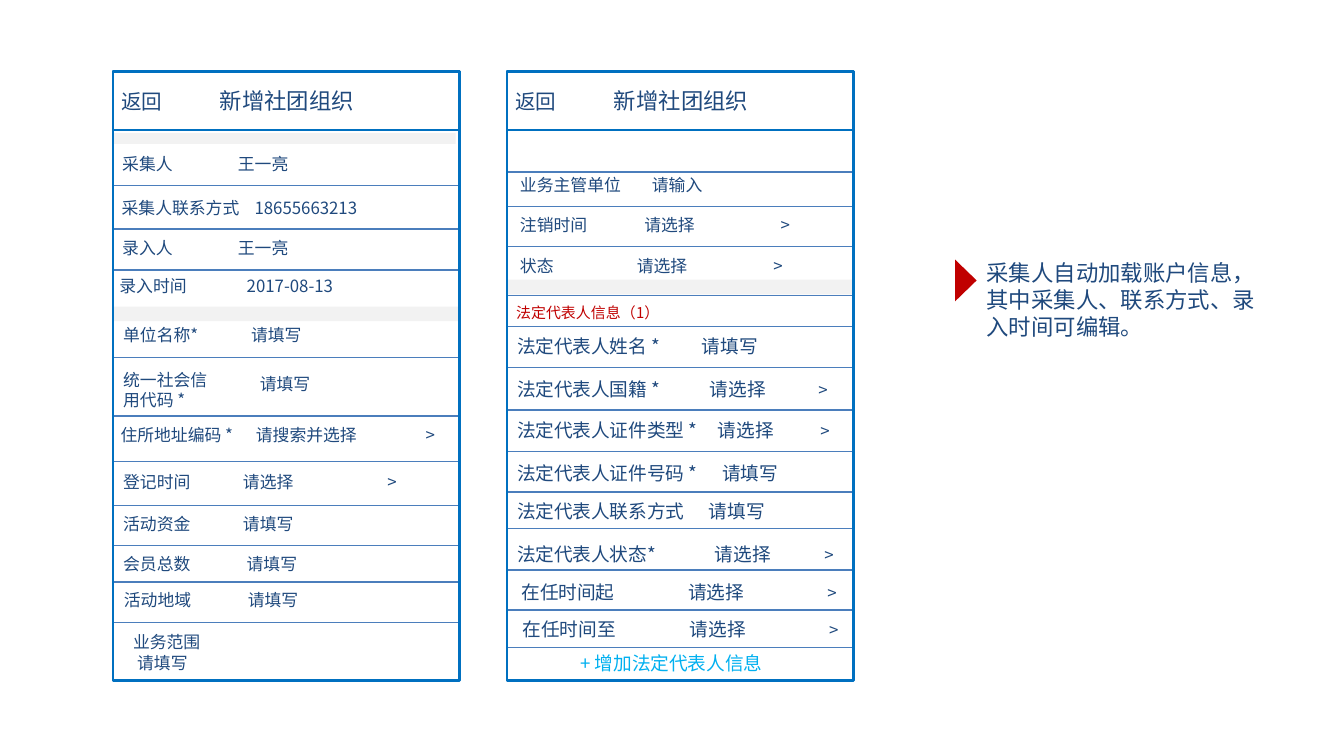
from lxml.etree import SubElement
from pptx import Presentation
from pptx.dml.color import RGBColor
from pptx.enum.shapes import MSO_CONNECTOR as CONN, MSO_SHAPE as SHAPE
from pptx.enum.text import PP_ALIGN as ALIGN
from pptx.oxml.ns import qn
from pptx.util import Pt

THEME = {
    "font": "Noto Sans CJK SC",
    "ink": "1F497D", "frame": "0070C0", "rule": "4B7EBC",
    "band": "F2F2F2", "white": "FFFFFF", "red": "C00000", "add": "00B0F0",
    "small": 8, "body": 9, "large": 10, "back": 11, "title": 12,
}
TITLE, BACK = "新增社团组织", "返回"
NOTE = "采集人自动加载账户信息，其中采集人、联系方式、录入时间可编辑。"
TOP, WIDTH, HEIGHT, HEADER = 38.2, 185.8, 326.2, 31.5
ROW_WIDTH = 174

# Each row: top, left, size, colour, then (text, left) cells after the label
FORMS = [
    {
        "left": 60.5,
        "bands": [(71.3, 182.9, 5.8), (164.2, 184.3, 7.9)],
        "rules": [99.4, 122.6, 144.7, 191.5, 222.9, 247.3, 270.7, 292.3, 311.8, 333.4],
        "rows": [
            (82.1, 65.5, "body", "ink", "采集人", ("王一亮", 127.5)),
            (105.8, 65.2, "body", "ink", "采集人联系方式", ("18655663213", 136.4)),
            (127.4, 65.5, "body", "ink", "录入人", ("王一亮", 127.5)),
            (147.6, 64, "body", "ink", "录入时间", ("2017-08-13", 132.2)),
            (174.2, 66, "body", "ink", "单位名称*", ("请填写", 134.5)),
            (198, 66, "body", "ink", "统一社会信\n用代码 *"),
            (200.2, 139.2, "body", "ink", "请填写"),
            (227.5, 64.6, "body", "ink", "住所地址编码 *", ("请搜索并选择", 137.1), (">", 228)),
            (252.7, 66, "body", "ink", "登记时间", ("请选择", 130.2), (">", 207.6)),
            (275, 66, "body", "ink", "活动资金", ("请填写", 130.2)),
            (296.6, 66, "body", "ink", "会员总数", ("请填写", 132.2)),
            (316.1, 66.4, "body", "ink", "活动地域", ("请填写", 132.8)),
            (338.4, 71.3, "body", "ink", "业务范围"),
            (349.9, 73.5, "body", "ink", "请填写"),
        ],
    },
    {
        "left": 271.6,
        "bands": [(149.8, 184.3, 7.9)],
        "rules": [92.2, 110.8, 132, 158.4, 175, 196.9, 219.6, 241.9, 263.5, 283, 305.3, 326.9, 347],
        "rows": [
            (93.6, 278.6, "body", "ink", "业务主管单位", ("请输入", 349.3)),
            (115.2, 278.6, "body", "ink", "注销时间", ("请选择", 345.2), (">", 418.2)),
            (136.8, 278.6, "body", "ink", "状态", ("请选择", 341.2), (">", 414.4)),
            (162.7, 276.5, "small", "red", "法定代表人信息（1）"),
            (179.3, 277, "large", "ink", "法定代表人姓名 *", ("请填写", 376)),
            (202.3, 277, "large", "ink", "法定代表人国籍 *", ("请选择", 380.3), (">", 438.5)),
            (224.6, 277, "large", "ink", "法定代表人证件类型 *", ("请选择", 384.6), (">", 439.5)),
            (247.7, 277, "large", "ink", "法定代表人证件号码 *", ("请填写", 387)),
            (267.8, 277, "large", "ink", "法定代表人联系方式", ("请填写", 379.8)),
            (290.9, 277, "large", "ink", "法定代表人状态*", ("请选择", 383)  , (">", 441.7)),
            (311, 279.4, "large", "ink", "在任时间起", ("请选择", 368.6), (">", 443.3)),
            (331.2, 280, "large", "ink", "在任时间至", ("请选择", 369.6), (">", 444.2)),
            (349.2, 311, "large", "add", "+ 增加法定代表人信息"),
        ],
    },
]


def color(key):
    return RGBColor.from_string(THEME[key])


def style(r, size, ink="ink"):
    r.font.name = THEME["font"]
    r.font.size = Pt(THEME[size])
    r.font.color.rgb = color(ink)
    SubElement(r._r.get_or_add_rPr(), qn("a:ea"), typeface=THEME["font"])


def add_shape(s, kind, x, y, w, h, fill=None, line=None):
    sp = s.shapes.add_shape(kind, Pt(x), Pt(y), Pt(w), Pt(h))
    sp.shadow.inherit = False
    if fill:
        sp.fill.solid()
        sp.fill.fore_color.rgb = color(fill)
    else:
        sp.fill.background()
    if line:
        sp.line.color.rgb = color(line)
        sp.line.width = Pt(1.5)
    else:
        sp.line.fill.background()
    return sp


def add_text(s, text, x, y, w, h, size, ink="ink", align=ALIGN.LEFT):
    sp = s.shapes.add_textbox(Pt(x), Pt(y), Pt(w), Pt(h))
    tf = sp.text_frame
    tf.word_wrap = True
    tf.margin_left = tf.margin_right = tf.margin_top = tf.margin_bottom = 0
    tf.text = text
    for p in tf.paragraphs:
        p.alignment = align
        for r in p.runs:
            style(r, size, ink)
    return tf


def add_row(s, y, x, size, ink, label, *cells):
    lines = label.count("\n") + 1
    tf = add_text(s, label, x, y, ROW_WIDTH, THEME[size] * 1.2 * lines, size, ink)
    if not cells:
        return
    p = tf.paragraphs[0]
    tabs = SubElement(p._p.get_or_add_pPr(), qn("a:tabLst"))
    for text, left in cells:
        SubElement(tabs, qn("a:tab"), pos=str(int(Pt(left - x))), algn="l")
        r = p.add_run()
        r.text = "\t" + text
        style(r, "body" if text == ">" else size, ink)


def add_rule(s, x, y):
    line = s.shapes.add_connector(CONN.STRAIGHT, Pt(x), Pt(y), Pt(x + WIDTH), Pt(y))
    line.line.color.rgb = color("rule")
    line.line.width = Pt(0.75)
    SubElement(line._element.spPr, qn("a:effectLst"))


def add_form(s, form):
    x = form["left"]
    for y, w, h in form["bands"]:
        add_shape(s, SHAPE.RECTANGLE, x + 0.7, y, w, h, "band")
    for y in form["rules"]:
        add_rule(s, x, y)
    for row in form["rows"]:
        add_row(s, *row)
    add_shape(s, SHAPE.RECTANGLE, x, TOP, WIDTH, HEADER, "white", "frame")
    add_text(s, TITLE, x + 41.8, 46.8, 103, 14.4, "title", align=ALIGN.CENTER)
    add_text(s, BACK, x + 2.2, 47.5, 26.6, 12.2, "back", align=ALIGN.CENTER)
    add_shape(s, SHAPE.RECTANGLE, x, TOP, WIDTH, HEIGHT, line="frame")


def main():
    prs = Presentation()
    prs.slide_width, prs.slide_height = Pt(720), Pt(405)
    s = prs.slides.add_slide(prs.slide_layouts[6])
    for form in FORMS:
        add_form(s, form)
    marker = add_shape(s, SHAPE.ISOSCELES_TRIANGLE, 506.3, 144.5, 22.3, 11.5, "red")
    marker.rotation = 90
    add_text(s, NOTE, 528.5, 139, 154.8, 43.9, "title")
    prs.save("out.pptx")


if __name__ == "__main__":
    main()
